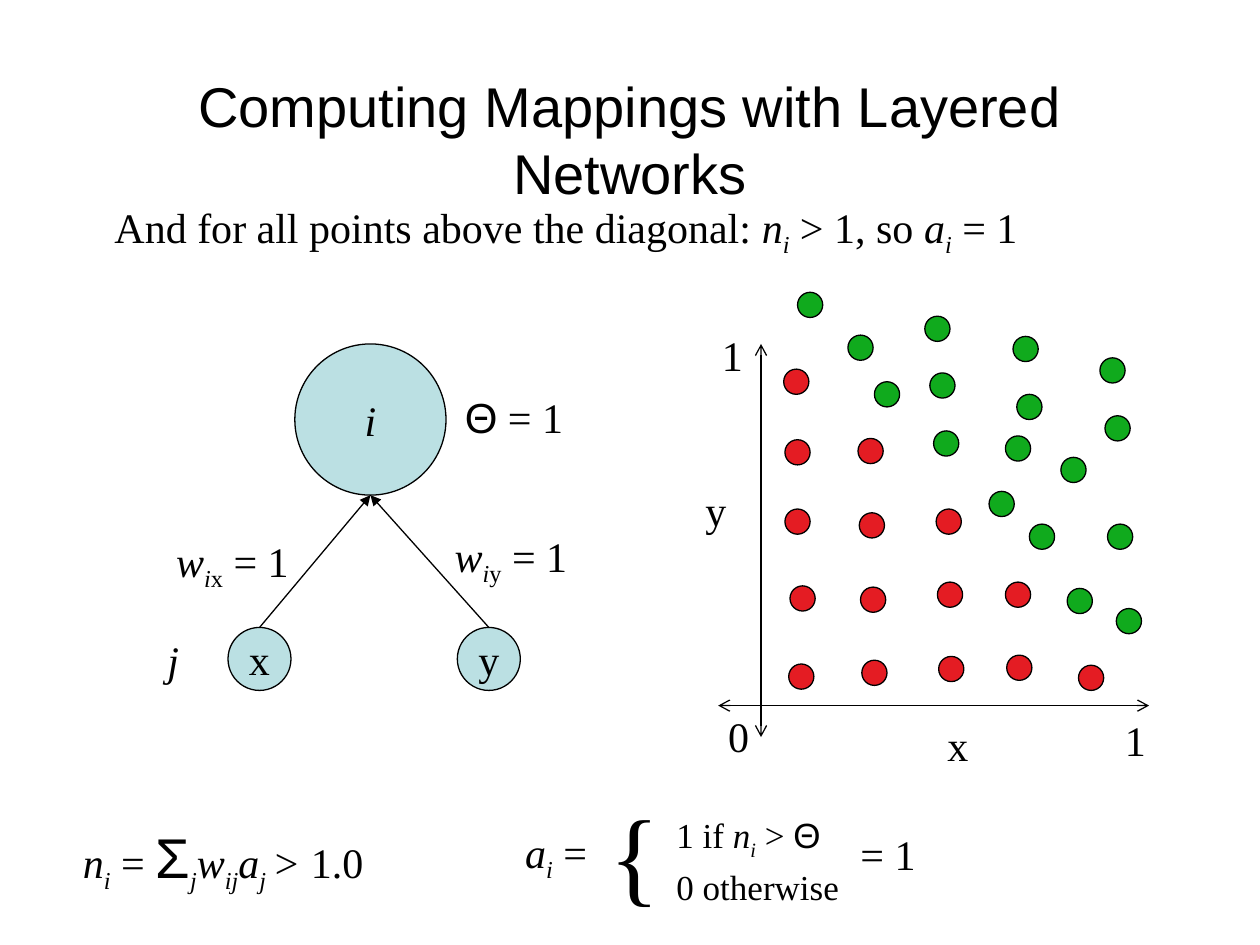
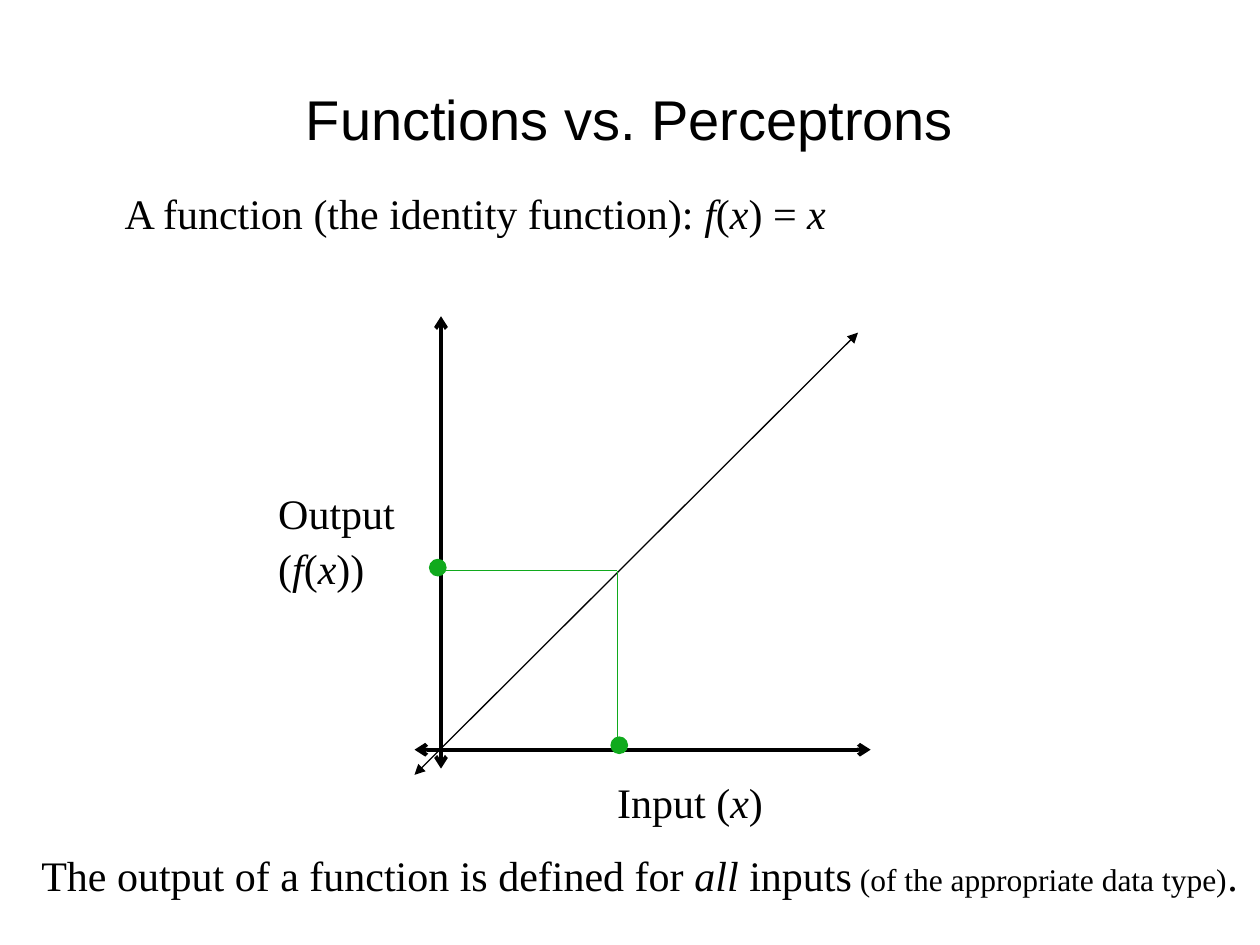
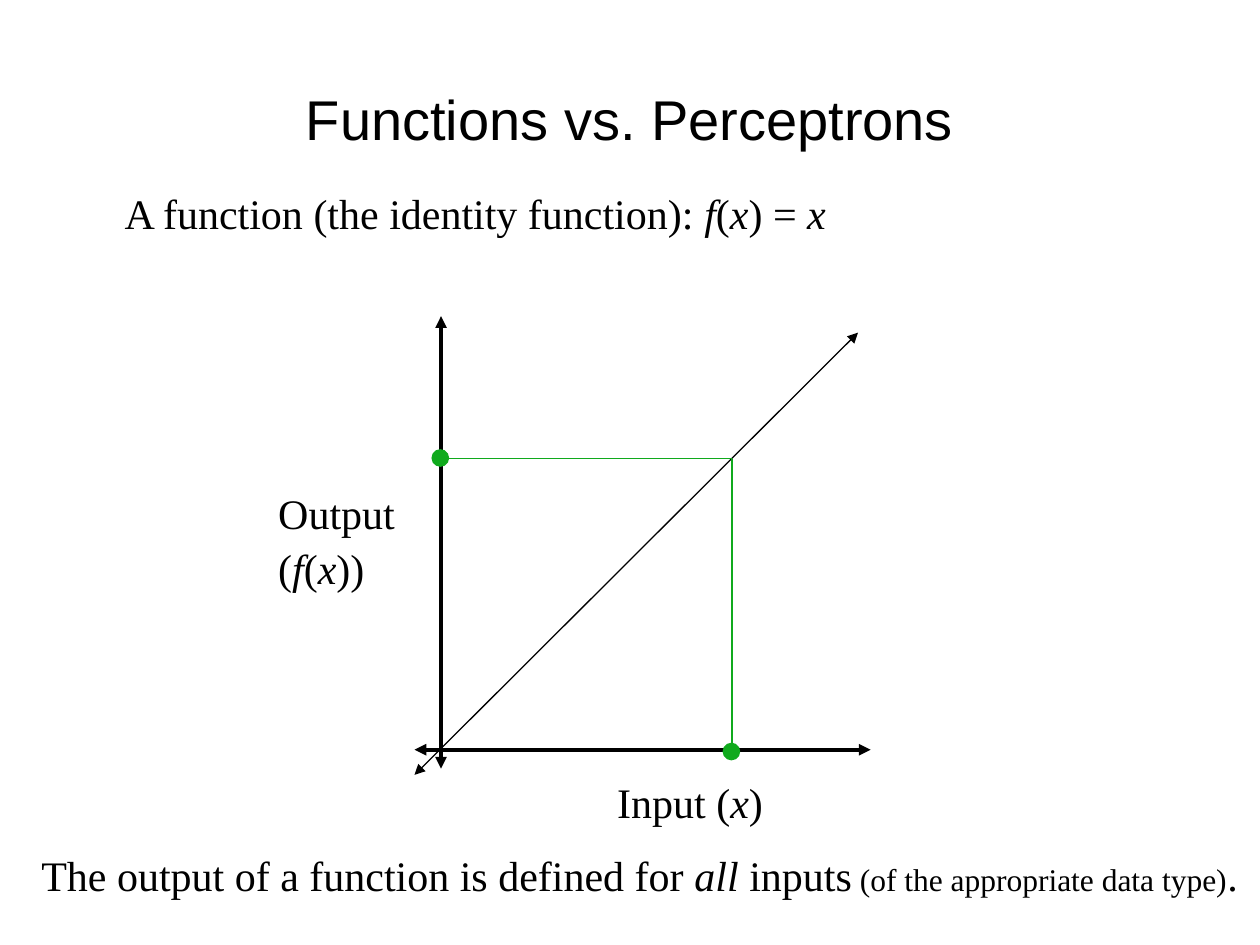
from lxml.etree import SubElement
from pptx import Presentation
from pptx.dml.color import RGBColor
from pptx.enum.shapes import MSO_CONNECTOR, MSO_SHAPE
from pptx.enum.text import MSO_ANCHOR, MSO_AUTO_SIZE, PP_ALIGN
from pptx.oxml.ns import qn
from pptx.util import Inches, Pt

# The slide is a grid of 100 columns by 75 rows of square cells.
COLS, ROWS = 100, 75
CELL = Inches(0.1)
HUES = {"ink": "000000", "node": "BBE0E3", "green": "10AA1D", "red": "E41C23"}
SANS, SERIF = "Arial", "Times New Roman"
THIN, THICK = 0.75, 2.25
DOT = 2

# Dot corners, in cells from the corner of the plot
ABOVE = [(24.8, 11.6), (12.3, 3.6), (33.6, 25.3), (26.7, 18.6), (29.7, 23.7),
         (19.1, 11.2), (8.3, 0.2), (18.8, 6.6), (18.4, 2.1), (29.2, 13.3),
         (32.9, 18.6), (25.7, 8.3), (25.4, 3.7), (32.7, 10), (32.3, 5.4),
         (14.4, 7.3), (23.5, 16)]
BELOW = [(7.2, 6.3), (7.3, 11.9), (7.3, 17.4), (7.7, 23.5), (7.6, 29.7),
         (13.1, 11.8), (13.2, 17.7), (13.3, 23.6), (13.4, 29.4),
         (19.3, 17.4), (19.4, 23.2), (19.5, 29.1),
         (24.8, 23.2), (24.9, 29), (30.6, 29.8)]


def hue(name):
    return RGBColor.from_string(HUES[name])


def cells(*spans):
    return [round(span * CELL) for span in spans]


def shift(box, x, y):
    return box[0] + x, box[1] + y


def style(run, size=24, marks=""):
    """Marks: i is italic, _ is subscript, A is the sans font."""
    font = run.font
    font.name = SANS if "A" in marks else SERIF
    font.size = Pt(size)
    font.italic = "i" in marks
    font.color.rgb = hue("ink")
    if "_" in marks:
        run._r.get_or_add_rPr().set("baseline", "-25000")


def label(slide, spot, width, height, *lines, size=24):
    """Each line is a string or a list of (text, marks, size) parts."""
    box = slide.shapes.add_textbox(*cells(*spot, width, height))
    frame = box.text_frame
    frame.word_wrap = True
    for n, line in enumerate(lines):
        para = frame.add_paragraph() if n else frame.paragraphs[0]
        if n:
            para.line_spacing = 0.5
            para.space_before = Pt(size * 0.625)
        for part in [(line,)] if isinstance(line, str) else line:
            text, marks, points = (*part, "", size)[:3] if len(part) == 1 else (*part, size)[:3]
            run = para.add_run()
            run.text = text
            style(run, points, marks)


def disc(slide, spot, size, fill, line="ink", text="", marks=""):
    shape = slide.shapes.add_shape(MSO_SHAPE.OVAL, *cells(*spot, size, size))
    shape.shadow.inherit = False
    shape.fill.solid()
    shape.fill.fore_color.rgb = hue(fill)
    shape.line.color.rgb = hue(line)
    shape.line.width = Pt(THIN)
    if text:
        frame = shape.text_frame
        frame.text = text
        frame.word_wrap = False
        frame.vertical_anchor = MSO_ANCHOR.MIDDLE
        frame.paragraphs[0].alignment = PP_ALIGN.CENTER
        style(frame.paragraphs[0].runs[0], marks=marks)


def rule(slide, start, end, color="ink", width=THIN, head=None, tail=None):
    link = slide.shapes.add_connector(MSO_CONNECTOR.STRAIGHT, *cells(*start, *end))
    link.line.color.rgb = hue(color)
    link.line.width = Pt(width)
    for tag, tip in (("a:headEnd", head), ("a:tailEnd", tail)):
        if tip:
            SubElement(link.line._get_or_add_ln(), qn(tag), type=tip)
    SubElement(link._element.spPr, qn("a:effectLst"))


def page(deck, text, top):
    slide = deck.slides.add_slide(deck.slide_layouts[5])
    title = slide.shapes.title
    title.left, title.top, title.width, title.height = cells(7.5, top, 85, 8.6)
    frame = title.text_frame
    frame.text = text
    frame.auto_size = MSO_AUTO_SIZE.NONE
    frame.word_wrap = True
    frame.vertical_anchor = MSO_ANCHOR.MIDDLE
    frame.paragraphs[0].alignment = PP_ALIGN.CENTER
    style(frame.paragraphs[0].runs[0], 32, "A")
    return slide


def net(slide, box):
    # Output unit
    disc(slide, shift(box, 11.4, 0.3), 12, "node", text="i", marks="i")
    label(slide, shift(box, 23.9, 3.6), 11.2, 5, [("Θ", "A"), (" = 1",)])
    # Input units, their links and weights
    for name, x, spot in (("x", 6.1, (1, 15)), ("y", 24.3, (23.1, 14.6))):
        rule(slide, shift(box, x + 2.5, 22.8), shift(box, 17.4, 12.3), tail="triangle")
        disc(slide, shift(box, x, 22.8), 5, "node", text=name)
        label(slide, shift(box, *spot), 12, 5.6,
              [("w", "i"), ("i", "i_"), (name, "_"), (" = 1",)])
    label(slide, shift(box, 0.3, 22.9), 2.9, 5, [("j", "i")])


def plot(slide, box):
    # Axes
    for start, end in (((2, 33), (36.2, 33)), ((5.4, 35.5), (5.4, 4.3))):
        rule(slide, shift(box, *start), shift(box, *end), head="arrow", tail="arrow")
    for text, x, y in (("x", 19.2, 33.6), ("y", 0, 15), ("1", 33.3, 33.2),
                       ("1", 1.3, 2.7), ("0", 1.8, 32.9)):
        label(slide, shift(box, x, y), 3.9, 5, text)
    # Points on both sides of the diagonal
    for color, dots in (("red", BELOW), ("green", ABOVE)):
        for dot in dots:
            disc(slide, shift(box, *dot), DOT, color)


def sums(slide, box):
    # Net input
    label(slide, shift(box, 0.6, 2.8), 30.1, 6.7,
          [("n", "i"), ("i", "i_"), (" = ",), ("Σ", "A", 32), ("j", "i_"), ("w", "i"),
           ("ij", "i_"), ("a", "i"), ("j ", "i_"), (">", "i"), (" 1.0",)])
    # Activation
    label(slide, shift(box, 35.7, 3.1), 7.3, 5.6, [("a", "i"), ("i", "i_"), (" =",)])
    label(slide, shift(box, 42.4, 0.1), 5, 11, "{", size=60)
    label(slide, shift(box, 47.7, 2.1), 15.8, 8.2,
          [("1 if ",), ("n", "i"), ("i", "i_"), (" > ",), ("Θ", "A")],
          "0 otherwise", size=20)
    label(slide, shift(box, 62.3, 3.3), 13.2, 5, "= 1")


def graph(slide, box, tip, point, dots):
    # Axes and the identity line
    for start, end, width, mark in (((14, 0.1), (14, 36), THICK, tip),
                                    ((11.9, 34.5), (48.1, 34.5), THICK, tip),
                                    ((11.9, 36.5), (47.1, 1.4), THIN, "triangle")):
        rule(slide, shift(box, *start), shift(box, *end), width=width, head=mark, tail=mark)
    label(slide, shift(box, 27, 36.1), 14, 5, [("Input (",), ("x", "i"), (")",)])
    label(slide, shift(box, 0.1, 13.2), 13.3, 9.1, "Output",
          [("(",), ("f", "i"), ("(",), ("x", "i"), ("))",)])
    # Input traced to output
    x, y = point
    for end in ((x, 34.4), (14, y)):
        rule(slide, shift(box, x, y), shift(box, *end), "green")
    for dot in dots:
        disc(slide, shift(box, *dot), 1.3, "green", "green")


def layers(deck):
    slide = page(deck, "Computing Mappings with Layered Networks", 6.7)
    net(slide, (12, 27))
    plot(slide, (55, 23))
    sums(slide, (5, 62))
    label(slide, (8.1, 15.5), 88.2, 5.6,
          [("And for all points above the diagonal: ",), ("n", "i"), ("i", "i_"),
           (" > 1, so ",), ("a", "i"), ("i", "i_"), (" = 1",)])


def mapping(deck, tip, point, dots):
    slide = page(deck, "Functions vs. Perceptrons", 5.1)
    label(slide, (8.9, 14.4), 72.1, 5,
          [("A function (the identity function): ",), ("f", "i"), ("(",), ("x", "i"),
           (") = ",), ("x", "i")])
    graph(slide, (21, 25), tip, point, dots)
    label(slide, (2.3, 66.9), 97.7, 5,
          [("The output of a function is defined for ",), ("all", "i"), (" inputs",),
           (" (of the appropriate data type)", "", 18), (".",)])


def main():
    deck = Presentation()
    deck.slide_width, deck.slide_height = cells(COLS, ROWS)
    layers(deck)
    mapping(deck, "arrow", (28, 20.3), [(27.5, 33.5), (13.1, 19.4)])
    mapping(deck, "triangle", (37.1, 11.4), [(36.4, 34), (13.3, 10.7)])
    deck.save("out.pptx")


if __name__ == "__main__":
    main()
